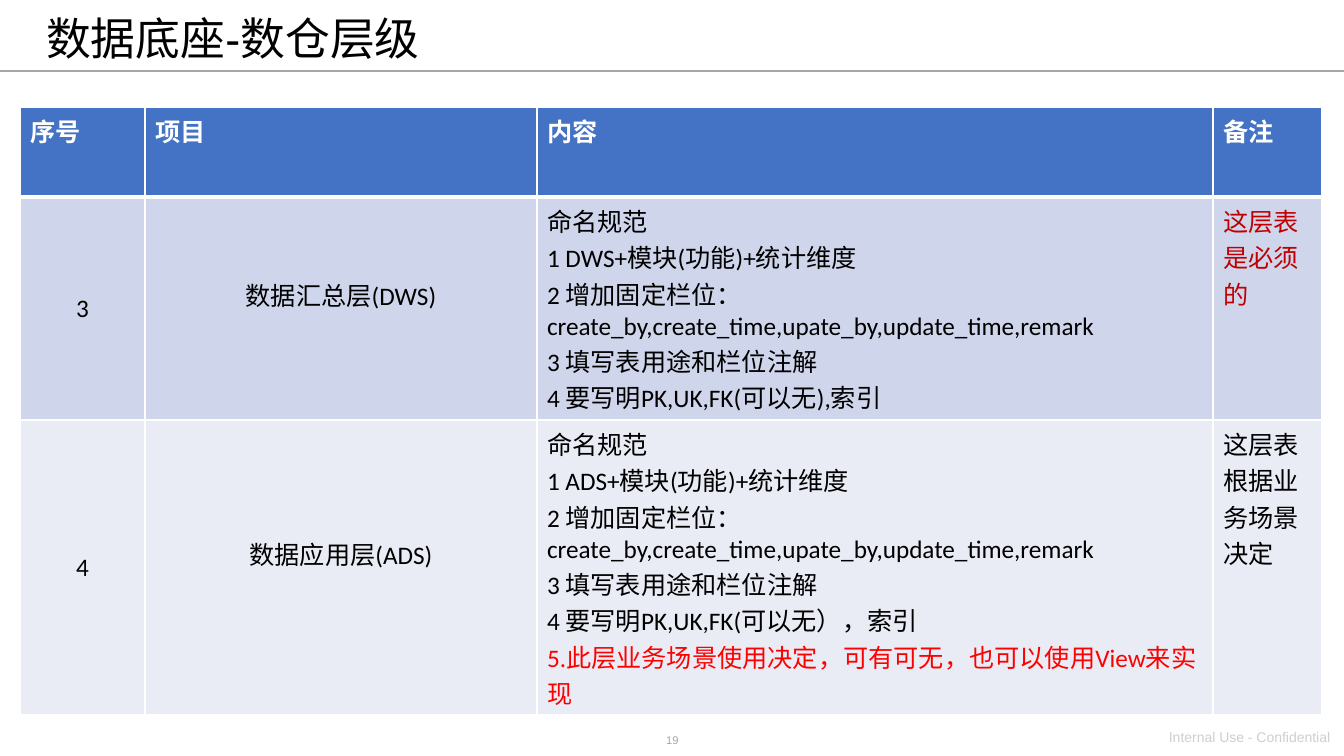
"""Build the slide on data warehouse layers."""
from lxml import etree
from pptx import Presentation
from pptx import util as u
from pptx.dml.color import RGBColor
from pptx.enum import shapes, text
from pptx.oxml.ns import qn

TITLE = "数据底座-数仓层级"
PAGE, NOTICE = "19", "Internal Use - Confidential"
BLACK, WHITE, GREY = "000000", "FFFFFF", "A6A6A6"
HEADINGS = ["序号", "项目", "内容", "备注"]
FIELDS = "2 增加固定栏位：create_by,create_time,upate_by,update_time,remark"
COMMENTS = "3 填写表用途和栏位注解"
LAYERS = [
    ("3", "数据汇总层(DWS)",
     [("命名规范", BLACK), ("1 DWS+模块(功能)+统计维度", BLACK), (FIELDS, BLACK),
      (COMMENTS, BLACK), ("4 要写明PK,UK,FK(可以无),索引", BLACK)],
     ("这层表是必须的", "C00000")),
    ("4", "数据应用层(ADS)",
     [("命名规范", BLACK), ("1 ADS+模块(功能)+统计维度", BLACK), (FIELDS, BLACK),
      (COMMENTS, BLACK), ("4 要写明PK,UK,FK(可以无），索引", BLACK),
      ("5.此层业务场景使用决定，可有可无，也可以使用View来实现", "FF0000")],
     ("这层表根据业务场景决定", BLACK)),
]
ROW_FILLS = ["4472C4", "CFD5EA", "E9EBF5"]
COLUMNS, ROWS = [125, 392, 676, 109], [90, 223, 295]
NAME_LIFT = 34
SIDES = ["lnL", "lnR", "lnT", "lnB"]


def px(n):
    return round(n * 914400 / 100.8)


def rgb(value):
    return RGBColor.from_string(value)


def write(frame, lines, font, size, align=text.PP_ALIGN.LEFT, bold=False):
    for i, (words, colour) in enumerate(lines):
        para = frame.paragraphs[0] if i == 0 else frame.add_paragraph()
        para.alignment = align
        run = para.add_run()
        run.text = words
        run.font.name, run.font.size, run.font.bold = font, u.Pt(size), bold
        run.font.color.rgb = rgb(colour)


def rule_cell(cell, points):
    props = cell._tc.get_or_add_tcPr()
    for i, (side, width) in enumerate(zip(SIDES, points)):
        edge = etree.Element(qn("a:" + side), w=str(u.Pt(width)))
        fill = etree.SubElement(edge, qn("a:solidFill"))
        etree.SubElement(fill, qn("a:srgbClr"), val=WHITE)
        props.insert(i, edge)


def add_footer(slide, box, words, size, colour, align):
    frame = slide.shapes.add_textbox(*map(px, box)).text_frame
    frame.word_wrap = True
    write(frame, [(words, colour)], "Arial", size, align)


def add_title(slide):
    title = slide.shapes.title
    title.left, title.top, title.width, title.height = map(px, (36, 6, 1061, 69))
    frame = title.text_frame
    frame.auto_size = text.MSO_AUTO_SIZE.NONE
    frame.vertical_anchor = text.MSO_ANCHOR.MIDDLE
    write(frame, [(TITLE, BLACK)], "Arial", 32)
    frame.paragraphs[0].line_spacing = 0.9


def add_layers(slide):
    table = slide.shapes.add_table(
        len(ROWS), len(COLUMNS), px(20), px(107), px(sum(COLUMNS)), px(sum(ROWS))).table
    for column, width in zip(table.columns, COLUMNS):
        column.width = px(width)
    for row, height in zip(table.rows, ROWS):
        row.height = px(height)
    grid = [[[(heading, WHITE)] for heading in HEADINGS]]
    grid += [[[(number, BLACK)], [(name, BLACK)], rules, [remark]]
             for number, name, rules, remark in LAYERS]
    for r, entries in enumerate(grid):
        for c, lines in enumerate(entries):
            cell = table.cell(r, c)
            cell.fill.solid()
            cell.fill.fore_color.rgb = rgb(ROW_FILLS[r])
            rule_cell(cell, (1, 1, 3 if r == 1 else 1, 3 if r == 0 else 1))
            centred = r > 0 and c < 2
            if centred:
                cell.vertical_anchor = text.MSO_ANCHOR.MIDDLE
            if centred and c == 1:
                cell.margin_bottom = px(NAME_LIFT)
            align = text.PP_ALIGN.CENTER if centred else text.PP_ALIGN.LEFT
            write(cell.text_frame, lines, "Calibri", 18, align, r == 0)


def main():
    deck = Presentation()
    deck.slide_width, deck.slide_height = px(1344), px(756)
    slide = deck.slides.add_slide(deck.slide_layouts[5])
    divider = slide.shapes.add_connector(
        shapes.MSO_CONNECTOR.STRAIGHT, 0, px(71), px(1344), px(71))
    divider.line.color.rgb = rgb(GREY)
    divider.line.width = u.Pt(1)
    etree.SubElement(divider._element.spPr, qn("a:effectLst"))
    add_footer(slide, (584, 728, 177, 24), PAGE, 8, GREY, text.PP_ALIGN.CENTER)
    add_footer(slide, (1159, 724, 185, 27), NOTICE, 10, "D0CECE", text.PP_ALIGN.LEFT)
    add_title(slide)
    add_layers(slide)
    deck.save("out.pptx")


if __name__ == "__main__":
    main()
